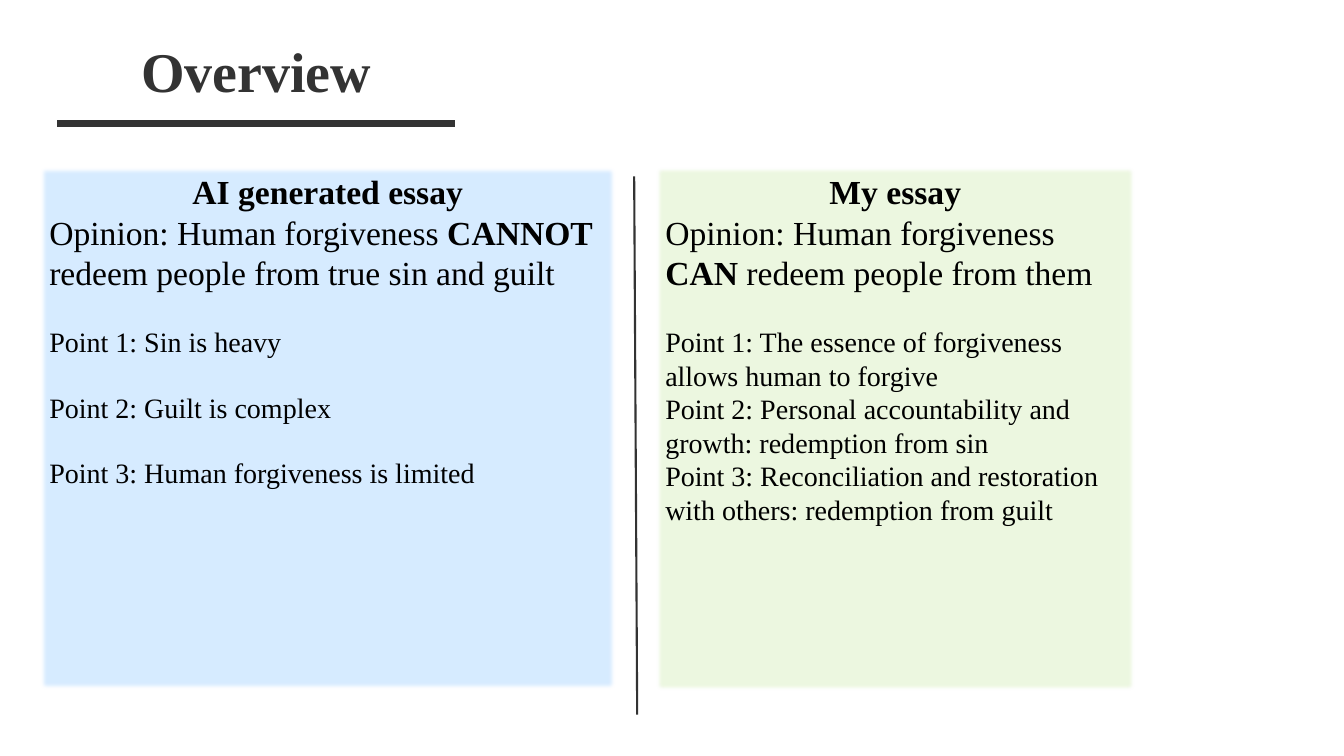
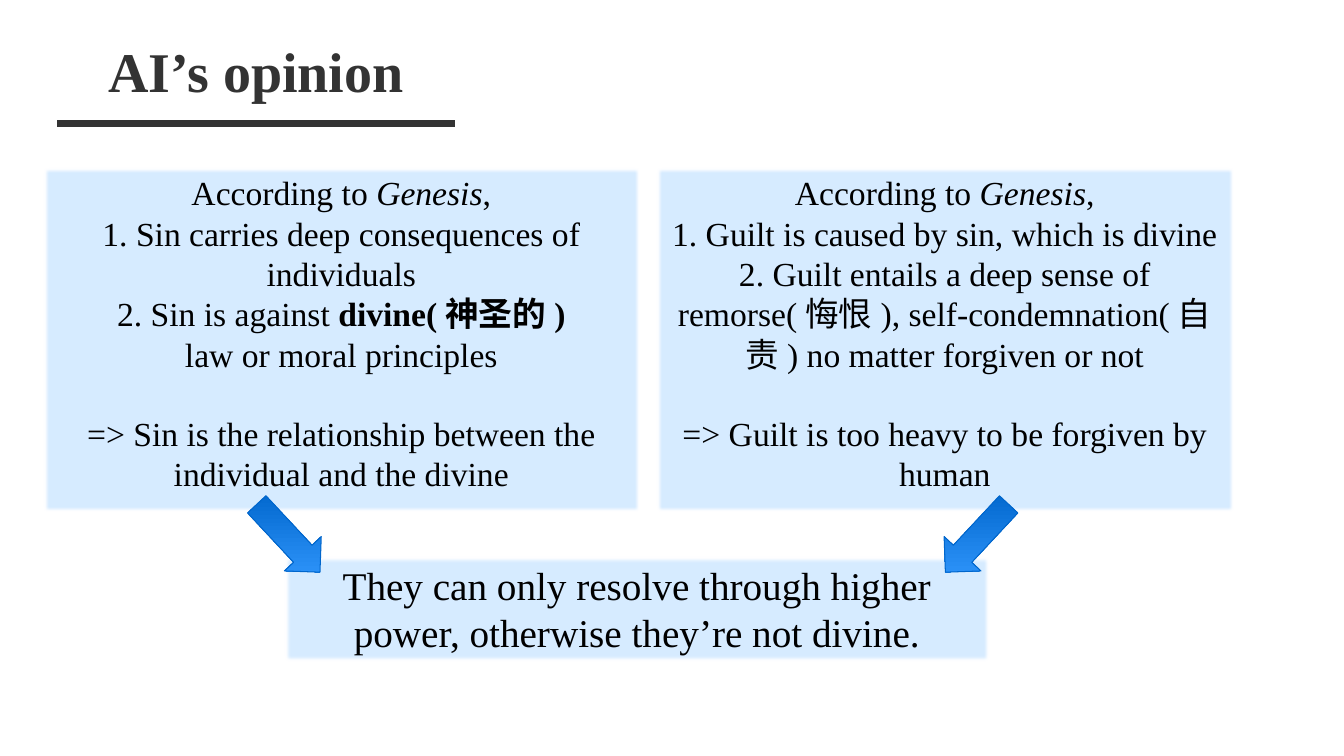
import pptx
import pptx.dml.color
import pptx.enum.shapes
import pptx.enum.text
import pptx.oxml.ns
import pptx.util
from lxml import etree

PX = 9144  # EMU per px, 100 px to the inch
FONT = "Times New Roman"
INK = pptx.dml.color.RGBColor(0x33, 0x33, 0x33)
BLACK = pptx.dml.color.RGBColor(0x00, 0x00, 0x00)
PALE_BLUE = pptx.dml.color.RGBColor(0xD6, 0xEB, 0xFF)
PALE_GREEN = pptx.dml.color.RGBColor(0xEC, 0xF7, 0xE0)
DEEP_BLUE = pptx.dml.color.RGBColor(0x00, 0x66, 0xCC)
BRIGHT_BLUE = pptx.dml.color.RGBColor(0x33, 0x99, 0xFF)
LEFT = pptx.enum.text.PP_ALIGN.LEFT
CENTER = pptx.enum.text.PP_ALIGN.CENTER
SHAPES = pptx.enum.shapes.MSO_SHAPE
BOLD = {"bold": True}
ITALIC = {"italic": True}
SOFT_EDGE = 31750  # EMU


def para(*spans, size=24, align=CENTER, gap=0):
    """Describe a paragraph; a span is plain text or (text, format)."""
    return {"spans": spans, "size": size, "align": align, "gap": gap}


class Deck:
    def __init__(self):
        self.deck = pptx.Presentation()
        self.deck.slide_width = 1333 * PX
        self.deck.slide_height = 750 * PX
        self.page = None

    def new_page(self, title):
        self.page = self.deck.slides.add_slide(self.deck.slide_layouts[6])
        self.line((57, 123), (451, 123), 5)
        box = self.page.shapes.add_textbox(*self.emu(17, 31, 474, 77))
        self.fill_text(box, [para((title, BOLD), size=40)], INK)

    def emu(self, *lengths):
        return [length * PX for length in lengths]

    def line(self, start, end, weight):
        line = self.page.shapes.add_connector(
            pptx.enum.shapes.MSO_CONNECTOR.STRAIGHT, *self.emu(*start, *end))
        line.line.color.rgb = INK
        line.line.width = pptx.util.Pt(weight)
        etree.SubElement(line.element.spPr, pptx.oxml.ns.qn("a:effectLst"))

    def fill_text(self, box, paras, color=BLACK):
        frame = box.text_frame
        layout = {"word_wrap": True,
                  "vertical_anchor": pptx.enum.text.MSO_ANCHOR.TOP}
        for name, value in layout.items():
            setattr(frame, name, value)
        for index, item in enumerate(paras):
            target = frame.add_paragraph() if index else frame.paragraphs[0]
            target.alignment = item["align"]
            target.space_before = pptx.util.Pt(item["gap"])
            for span in item["spans"]:
                text, extra = (span, {}) if isinstance(span, str) else span
                run = target.add_run()
                run.text = text
                run.font.color.rgb = color
                style = {"name": FONT, "size": pptx.util.Pt(item["size"]),
                         "bold": False, "italic": False, **extra}
                for name, value in style.items():
                    setattr(run.font, name, value)

    def panel(self, left, top, width, height, fill, paras):
        box = self.page.shapes.add_shape(
            SHAPES.RECTANGLE, *self.emu(left, top, width, height))
        box.fill.solid()
        box.fill.fore_color.rgb = fill
        box.line.fill.background()
        box.shadow.inherit = False
        effects = box.element.spPr.find(pptx.oxml.ns.qn("a:effectLst"))
        etree.SubElement(effects, pptx.oxml.ns.qn("a:softEdge"),
                         rad=str(SOFT_EDGE))
        self.fill_text(box, paras)

    def arrow(self, left, top, rotation):
        arrow = self.page.shapes.add_shape(
            SHAPES.RIGHT_ARROW, *self.emu(left, top, 92, 50))
        arrow.rotation = rotation
        arrow.shadow.inherit = False
        arrow.fill.gradient()
        # Counter the rotation so that the shading runs straight down
        arrow.fill.gradient_angle = (270 + rotation) % 360
        for stop, color in zip(arrow.fill.gradient_stops,
                               (DEEP_BLUE, BRIGHT_BLUE)):
            stop.color.rgb = color
        arrow.line.color.rgb = DEEP_BLUE
        arrow.line.width = pptx.util.Pt(0.75)


def essay(heading, opinion, points, first_gap, gap):
    """Heading, opinion and points of one essay."""
    return [para((heading, BOLD)), para(*opinion, align=LEFT)] + [
        para(f"Point {number}: {point}", size=20, align=LEFT,
             gap=gap if number > 1 else first_gap)
        for number, point in enumerate(points, 1)]


def build_overview(deck):
    deck.new_page("Overview")
    line_gap = 23  # one line of 20 pt text
    deck.panel(39, 165, 572, 520, PALE_BLUE, essay(
        "AI generated essay",
        ["Opinion: Human forgiveness ", ("CANNOT", BOLD),
         " redeem people from true sin and guilt"],
        ["Sin is heavy", "Guilt is complex", "Human forgiveness is limited"],
        line_gap, line_gap))
    deck.panel(650, 165, 476, 521, PALE_GREEN, essay(
        "My essay",
        ["Opinion: Human forgiveness ", ("CAN", BOLD),
         " redeem people from them"],
        ["The essence of forgiveness allows human to forgive",
         "Personal accountability and growth: redemption from sin",
         "Reconciliation and restoration with others: redemption from guilt"],
        line_gap, 0))
    deck.line((629, 175), (632, 709), 1.5)


def build_opinion(deck):
    deck.new_page("AI’s opinion")
    source = para("According to ", ("Genesis", ITALIC), ",")
    line_gap = 27.6  # one line of 24 pt text
    # Arguments
    deck.panel(43, 166, 591, 342, PALE_BLUE, [
        source,
        para("1. Sin carries deep consequences of individuals"),
        para("2. Sin is against ", ("divine(神圣的)", BOLD)),
        para("law or moral principles"),
        para("=> Sin is the relationship between the individual "
             "and the divine", gap=line_gap)])
    deck.panel(651, 166, 572, 342, PALE_BLUE, [
        source,
        para("1. Guilt is caused by sin, which is divine"),
        para("2. Guilt entails a deep sense of remorse(悔恨), "
             "self-condemnation(自责) no matter forgiven or not"),
        para("=> Guilt is too heavy to be forgiven by human", gap=line_gap)])
    # Conclusion
    deck.panel(282, 552, 699, 104, PALE_BLUE, [
        para("They can only resolve through higher power, "
             "otherwise they’re not divine.", size=28)])
    deck.arrow(240, 509, 47)
    deck.arrow(923, 509, 133)


def main():
    deck = Deck()
    build_overview(deck)
    build_opinion(deck)
    deck.deck.save("out.pptx")


if __name__ == "__main__":
    main()
